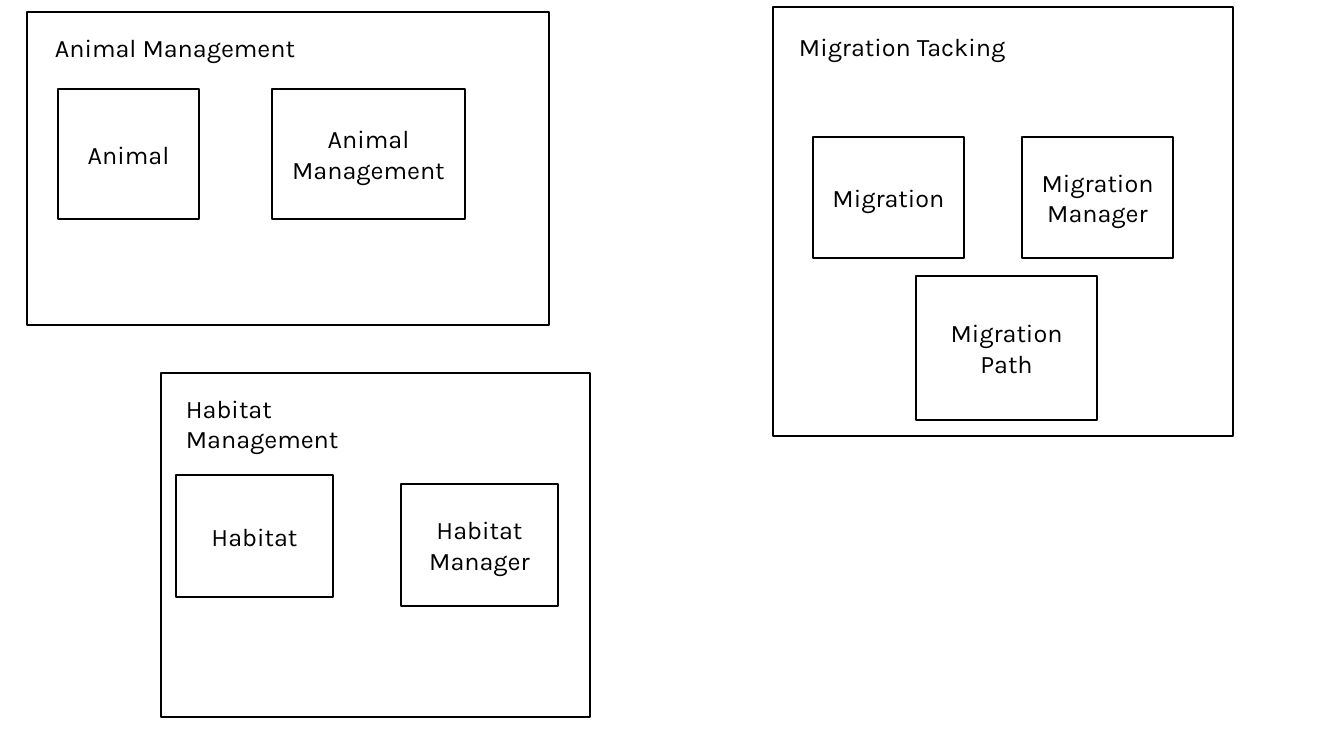
import pptx
import pptx.util
import pptx.dml.color
import pptx.enum.shapes
import pptx.enum.text

MODULES = [
    {
        "frame": (27, 12, 522, 313),
        "heading": ("Animal Management", (45, 27, 417, 46)),
        "classes": [
            ("Animal", (58, 89, 141, 130)),
            ("Animal Management", (272, 89, 193, 130)),
        ],
    },
    {
        "frame": (773, 7, 460, 429),
        "heading": ("Migration Tacking", (789, 26, 246, 60)),
        "classes": [
            ("Migration", (813, 137, 151, 121)),
            ("Migration Manager", (1022, 137, 151, 121)),
            ("Migration Path", (916, 276, 181, 144)),
        ],
    },
    {
        "frame": (161, 373, 429, 344),
        "heading": ("Habitat Management", (176, 388, 244, 70)),
        "classes": [
            ("Habitat", (176, 475, 157, 122)),
            ("Habitat Manager", (401, 484, 157, 122)),
        ],
    },
]
COLOURS = {"ink": "000000"}
FONT = {"name": "Karla", "size": pptx.util.Pt(18)}
SLIDE_SIZE = (1344, 756)
PX = 914400 / 100.8
ALIGN = pptx.enum.text.PP_ALIGN
ANCHOR = pptx.enum.text.MSO_ANCHOR


def emu(lengths):
    return [round(length * PX) for length in lengths]


def ink():
    return pptx.dml.color.RGBColor.from_string(COLOURS["ink"])


def write(shape, text, align, anchor):
    frame = shape.text_frame
    frame.word_wrap = True
    frame.vertical_anchor = anchor
    para = frame.paragraphs[0]
    para.alignment = align
    span = para.add_run()
    span.text = text
    for key, value in FONT.items():
        setattr(span.font, key, value)
    span.font.color.rgb = ink()


def add_box(group, bounds):
    box = group.shapes.add_shape(
        pptx.enum.shapes.MSO_SHAPE.RECTANGLE, *emu(bounds))
    box.shadow.inherit = False
    box.fill.background()
    box.line.color.rgb = ink()
    box.line.width = pptx.util.Pt(1.5)
    return box


def add_module(page, module):
    group = page.shapes.add_group_shape()
    add_box(group, module["frame"])
    text, bounds = module["heading"]
    heading = group.shapes.add_textbox(*emu(bounds))
    write(heading, text, ALIGN.LEFT, ANCHOR.TOP)
    for text, bounds in module["classes"]:
        write(add_box(group, bounds), text, ALIGN.CENTER, ANCHOR.MIDDLE)


def main():
    deck = pptx.Presentation()
    deck.slide_width, deck.slide_height = emu(SLIDE_SIZE)
    page = deck.slides.add_slide(deck.slide_layouts[6])
    for module in MODULES:
        add_module(page, module)
    deck.save("out.pptx")


if __name__ == "__main__":
    main()
